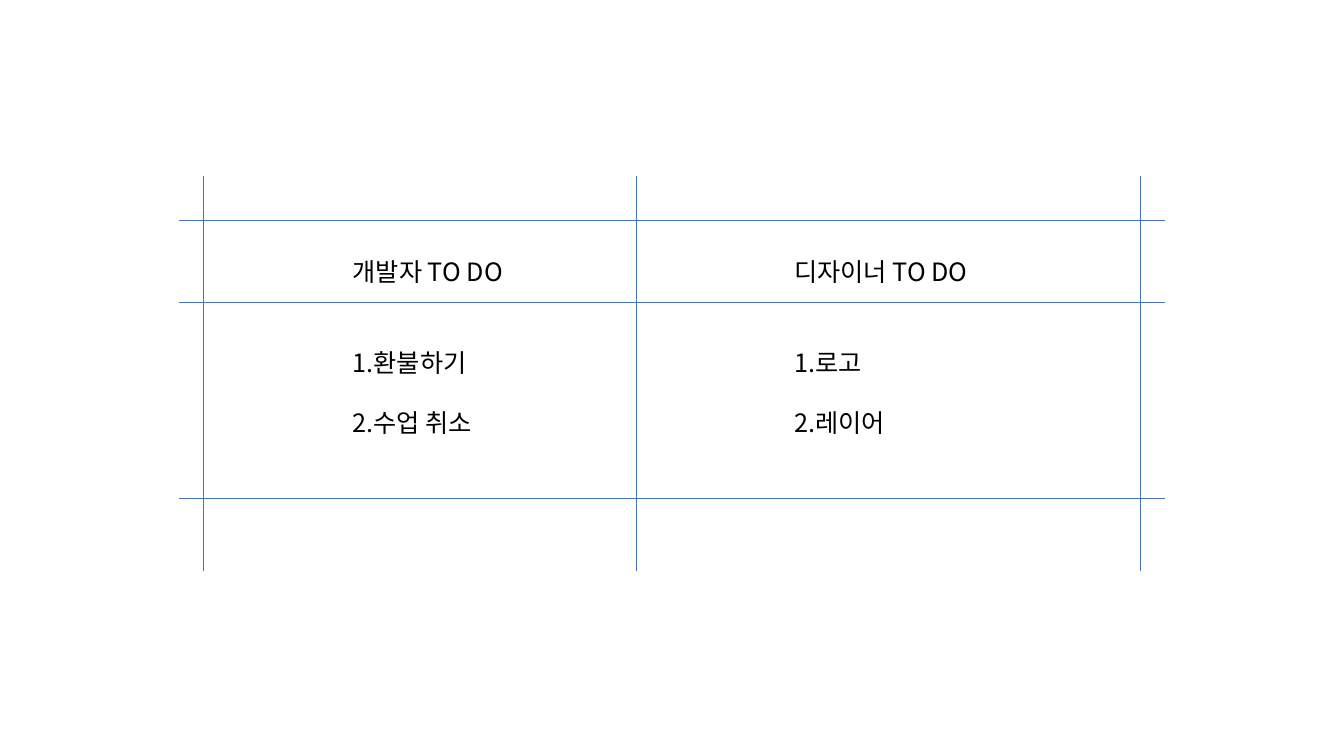
from lxml.etree import SubElement
from pptx import Presentation
from pptx.dml.color import RGBColor
from pptx.enum.shapes import MSO_CONNECTOR
from pptx.enum.text import MSO_AUTO_SIZE, PP_ALIGN
from pptx.oxml.ns import qn
from pptx.util import Inches, Pt

LISTS = [
    ("개발자 TO DO", ["환불하기", "수업 취소"]),
    ("디자이너 TO DO", ["로고", "레이어"]),
]
COLORS = {"text": "000000", "rule": "4472C4"}
FONT = {"name": "Noto Sans CJK KR", "size": Pt(18),
        "color": COLORS["text"]}
FRAME = {"word_wrap": False, "auto_size": MSO_AUTO_SIZE.SHAPE_TO_FIT_TEXT}
LINES = {"line_spacing": 2.0, "alignment": PP_ALIGN.LEFT}

# Grid in inches: rules cross at every column and row
COLS = [2.02, 6.31, 11.31]
ROWS = [2.19, 3.0, 4.94]
LEFT, RIGHT = 1.78, 11.55
TOP, FOOT = 1.75, 5.66
BOXES = [(3.4, 1.83), (7.78, 2.08)]
TALL = 2.43
HEAD_GAP = Pt(22)


def put(target, values):
    for key, value in values.items():
        if key == "color":
            target.color.rgb = RGBColor.from_string(value)
        else:
            setattr(target, key, value)


def rule(slide, *ends):
    line = slide.shapes.add_connector(
        MSO_CONNECTOR.STRAIGHT, *[Inches(end) for end in ends])
    put(line.line, {"color": COLORS["rule"], "width": Pt(0.5)})
    SubElement(line._element.spPr, qn("a:effectLst"))


def todo(slide, left, wide, head, items):
    area = [Inches(side) for side in (left, ROWS[0], wide, TALL)]
    frame = slide.shapes.add_textbox(*area).text_frame
    put(frame, FRAME)
    steps = [f"{rank}.{item}" for rank, item in enumerate(items, 1)]
    frame.text = "\n".join([head, *steps])
    for para in frame.paragraphs:
        put(para, LINES)
        put(para.font, FONT)
        for run in para.runs:
            put(run.font, FONT)
            face = SubElement(run.font._element, qn("a:ea"))
            face.set("typeface", FONT["name"])
    frame.paragraphs[0].space_after = HEAD_GAP


def main():
    deck = Presentation()
    put(deck, {"slide_width": Inches(13.33), "slide_height": Inches(7.5)})
    slide = deck.slides.add_slide(deck.slide_layouts[6])
    for (left, wide), (head, items) in zip(BOXES, LISTS):
        todo(slide, left, wide, head, items)
    for row in ROWS:
        rule(slide, LEFT, row, RIGHT, row)
    for col in COLS:
        rule(slide, col, TOP, col, FOOT)
    deck.save("out.pptx")


if __name__ == "__main__":
    main()
